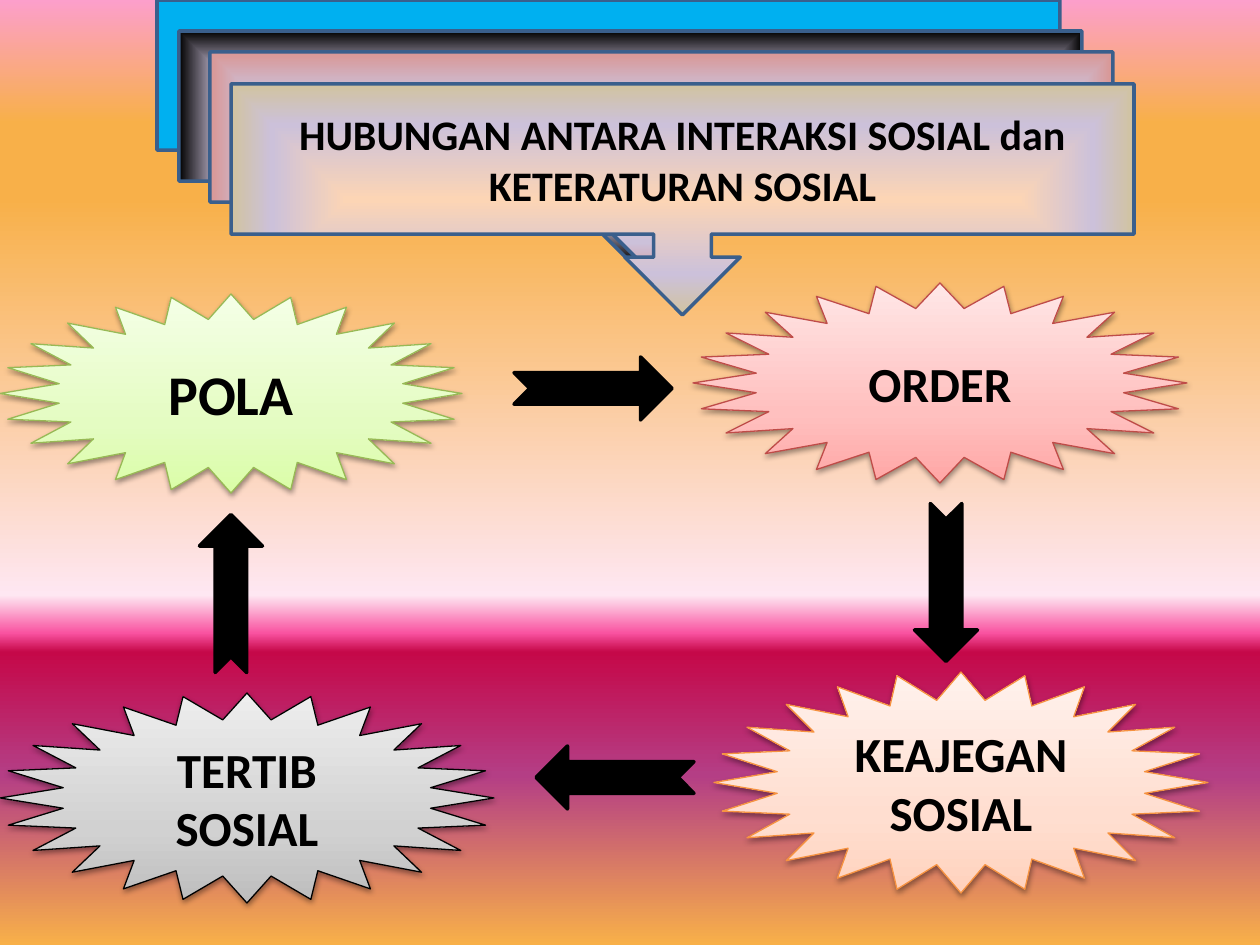
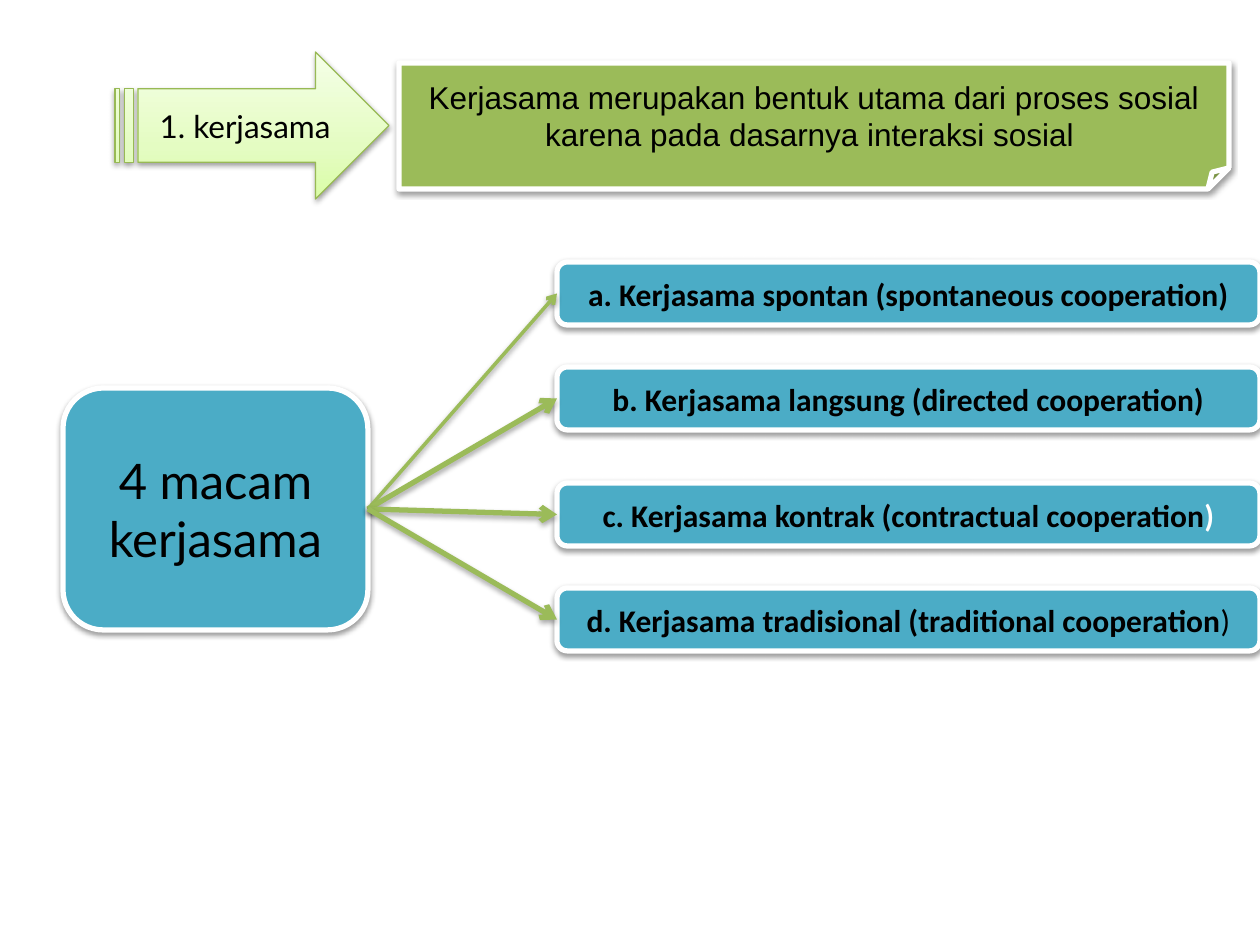
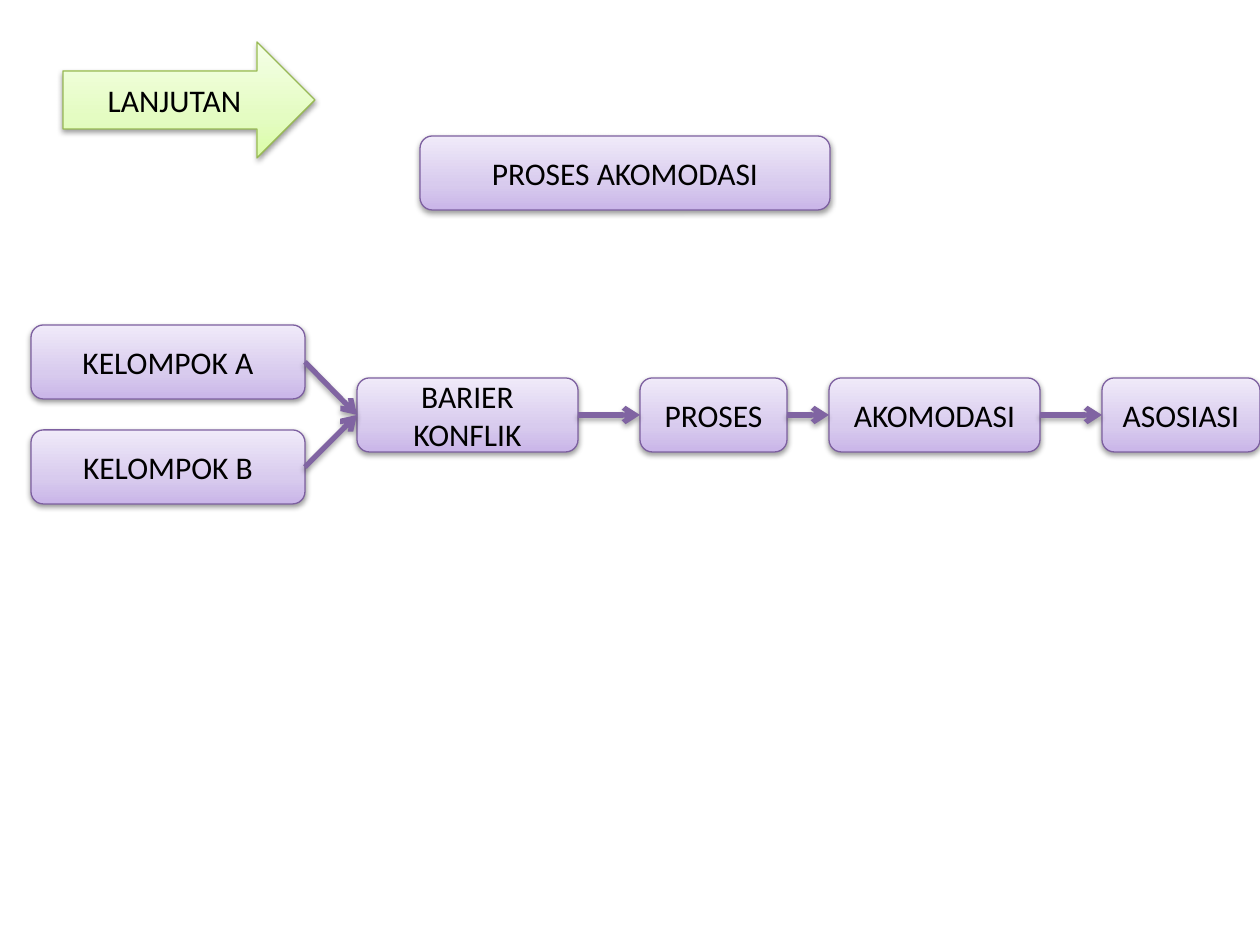
from itertools import pairwise

from lxml.etree import SubElement
from pptx import Presentation
from pptx.dml.color import RGBColor
from pptx.enum.shapes import MSO_CONNECTOR, MSO_SHAPE
from pptx.enum.text import MSO_ANCHOR, PP_ALIGN
from pptx.oxml.ns import qn
from pptx.util import Pt

EMU_PER_PX = 914400 / 126
BLACK, WHITE = "000000", "FFFFFF"
GREEN, TEAL, PURPLE, NAVY = "9BBB59", "4BACC6", "8064A2", "3A5F8C"
SUNSET = [(0, "FC9FCB"), (13, "F8B049"), (21, "F8B049"), (63, "FEE7F2"),
          (67, "F952A0"), (69, "C50849"), (82, "B43E85"), (100, "F8B049")]


def px(length):
    return round(length * EMU_PER_PX)


def rgb(value):
    return RGBColor.from_string(value)


def soft(dark, middle, light):
    return [(0, dark), (35, middle), (100, light)]


def glow(edge):
    return [(0, "FCD5B5"), (65, "CCC1DA"), (100, edge)]


LIME = dict(fill=soft("DAFDA7", "E4FCC2", "F5FFE7"), line="98B955")
LILAC = dict(fill=soft("C9B5E8", "D8CBEE", "F0EAF9"), line="7D60A0")
ROSE = dict(fill=soft("FFA6A5", "FFC0BF", "FFE7E7"), line="BF4C48")
PEACH = dict(fill=soft("FFD2BD", "FFDED0", "FFF2ED"), line="F69240")
GREY = dict(fill=soft("BDBDBD", "D1D1D1", "EEEEEE"), line=BLACK)
TEAL_CARD = dict(fill=TEAL, line=WHITE, weight=3)


def child(parent, tag, **attributes):
    return SubElement(parent, qn(tag), {k: str(v) for k, v in attributes.items()})


def color_node(parent, value):
    return child(parent, "a:srgbClr", val=value)


def paint_gradient(fill, owner, stops, angle=270, centred=False):
    fill.gradient()
    gradient = owner.find(".//" + qn("a:gradFill"))
    for part in list(gradient):
        gradient.remove(part)
    stop_list = child(gradient, "a:gsLst")
    for position, value in stops:
        color_node(child(stop_list, "a:gs", pos=position * 1000), value)
    if centred:
        rect = child(gradient, "a:path", path="rect")
        child(rect, "a:fillToRect", l=50000, t=50000, r=50000, b=50000)
    else:
        child(gradient, "a:lin", ang=angle * 60000, scaled=1)


def cast_shadow(effects, opacity=38, distance=20000):
    shadow = child(effects, "a:outerShdw", blurRad=40000, dist=distance,
                   dir=5400000, rotWithShape=0)
    child(color_node(shadow, BLACK), "a:alpha", val=opacity * 1000)


def write(shape, text, size=18, font="Calibri", color=BLACK, bold=False):
    frame = shape.text_frame
    frame.word_wrap = True
    frame.vertical_anchor = MSO_ANCHOR.MIDDLE
    paragraph = frame.paragraphs[0]
    paragraph.alignment = PP_ALIGN.CENTER
    run = paragraph.add_run()
    run.text = text
    run.font.size = Pt(size)
    run.font.name = font
    run.font.bold = bold
    run.font.color.rgb = rgb(color)


class Deck:
    def __init__(self):
        self.file = Presentation()
        self.file.slide_width, self.file.slide_height = px(1260), px(945)
        self.slide = None

    def page(self, backdrop=None):
        self.slide = self.file.slides.add_slide(self.file.slide_layouts[6])
        if backdrop:
            paint_gradient(self.slide.background.fill, self.slide._element, backdrop, 90)

    def shape(self, kind, box, fill, line, weight=0.75, shadow=True, centred=False, rotation=0):
        shape = self.slide.shapes.add_shape(kind, *map(px, box))
        shape.rotation = rotation
        if isinstance(fill, str):
            shape.fill.solid()
            shape.fill.fore_color.rgb = rgb(fill)
        else:
            paint_gradient(shape.fill, shape._element, fill, centred=centred)
        shape.line.color.rgb = rgb(line)
        shape.line.width = Pt(weight)
        shape.shadow.inherit = False
        if shadow:
            cast_shadow(shape._element.spPr.find(qn("a:effectLst")))
        return shape

    def card(self, box, text, look, **style):
        card = self.shape(MSO_SHAPE.ROUNDED_RECTANGLE, box, **look)
        write(card, text, **style)
        return card

    def star(self, box, text, look, size=28):
        star = self.shape(MSO_SHAPE.STAR_24_POINT, box, **look)
        write(star, text, size=size, bold=True)

    def link(self, start, end, color, weight=3, opacity=35, distance=23000):
        arrow = self.slide.shapes.add_connector(MSO_CONNECTOR.STRAIGHT, 0, 0, 0, 0)
        arrow.begin_connect(start, 3)
        arrow.end_connect(end, 1)
        arrow.line.color.rgb = rgb(color)
        arrow.line.width = Pt(weight)
        properties = arrow._element.spPr
        child(properties.find(qn("a:ln")), "a:tailEnd", type="arrow")
        cast_shadow(child(properties, "a:effectLst"), opacity, distance)


def social_order(deck):
    deck.page(SUNSET)
    banners = [(157, 0, "00B0F0"), (179, 31, glow(BLACK)),
               (210, 52, glow("D99694")), (231, 84, glow("D1C39F"))]
    for left, top, fill in banners:
        banner = deck.shape(MSO_SHAPE.DOWN_ARROW_CALLOUT, (left, top, 903, 231), fill,
                            NAVY, weight=2, shadow=False, centred=True)
    write(banner, "HUBUNGAN ANTARA INTERAKSI SOSIAL dan KETERATURAN SOSIAL", size=24, bold=True)

    deck.star((0, 294, 462, 199), "POLA", LIME, size=32)
    deck.star((714, 672, 494, 221), "KEAJEGAN SOSIAL", PEACH)
    deck.star((0, 693, 494, 210), "TERTIB SOSIAL", GREY)
    deck.star((693, 283, 494, 200), "ORDER", ROSE)

    for left, top, rotation in [(514, 357, 0), (152, 562, 270), (536, 746, 180), (867, 551, 90)]:
        deck.shape(MSO_SHAPE.NOTCHED_RIGHT_ARROW, (left, top, 158, 63), BLACK, BLACK,
                   weight=2, shadow=False, rotation=rotation)


def cooperation(deck):
    deck.page()
    heading = deck.shape(MSO_SHAPE.STRIPED_RIGHT_ARROW, (115, 52, 274, 147), **LIME)
    write(heading, "1. kerjasama", font="Lato")
    definition = deck.shape(MSO_SHAPE.FOLDED_CORNER, (399, 63, 830, 126), GREEN, WHITE, weight=3)
    write(definition, "Kerjasama merupakan bentuk utama dari proses sosial "
                      "karena pada dasarnya interaksi sosial ", font="Arial")
    source = deck.card((63, 388, 305, 242), "4 macam kerjasama", TEAL_CARD, size=28, font="Lato")

    kinds = [
        (262, "a. Kerjasama spontan (spontaneous cooperation", {"bold": True}),
        (367, "b. Kerjasama langsung (directed cooperation", {"bold": True}),
        (483, "c. Kerjasama kontrak (contractual cooperation", {"bold": True, "color": WHITE}),
        (588, "d. Kerjasama tradisional (traditional cooperation", {}),
    ]
    cards = []
    for top, text, closing in kinds:
        card = deck.card((557, top, 703, 63), text, TEAL_CARD, bold=True)
        write(card, ")", **closing)
        cards.append(card)
    spontaneous, *others = cards
    deck.link(source, spontaneous, GREEN, weight=2, opacity=38, distance=20000)
    for card in others:
        deck.link(source, card, GREEN)


def accommodation(deck):
    deck.page()
    heading = deck.shape(MSO_SHAPE.RIGHT_ARROW, (63, 42, 252, 116), **LIME)
    write(heading, "LANJUTAN")
    deck.card((420, 136, 410, 74), "PROSES AKOMODASI", LILAC)

    steps = [(357, 221, "BARIER KONFLIK"), (640, 147, "PROSES"),
             (829, 211, "AKOMODASI"), (1102, 158, "ASOSIASI")]
    flow = [deck.card((left, 378, width, 74), text, LILAC) for left, width, text in steps]
    groups = [deck.card((31, top, 274, 74), text, LILAC)
              for top, text in [(325, "KELOMPOK A"), (430, "KELOMPOK B")]]
    for group in groups:
        deck.link(group, flow[0], PURPLE)
    for step, following in pairwise(flow):
        deck.link(step, following, PURPLE)


def main():
    deck = Deck()
    social_order(deck)
    cooperation(deck)
    accommodation(deck)
    deck.file.save("out.pptx")


if __name__ == "__main__":
    main()
